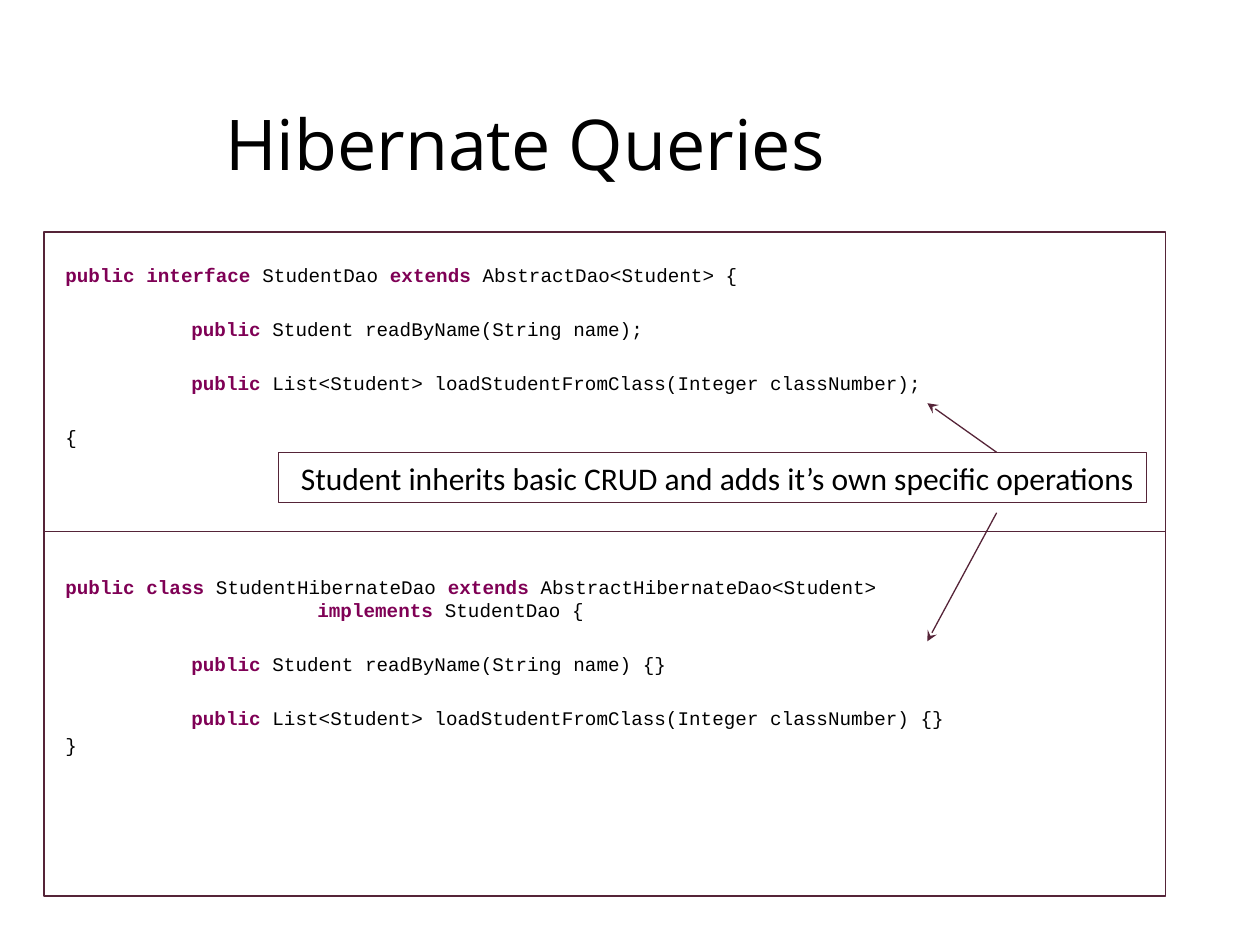
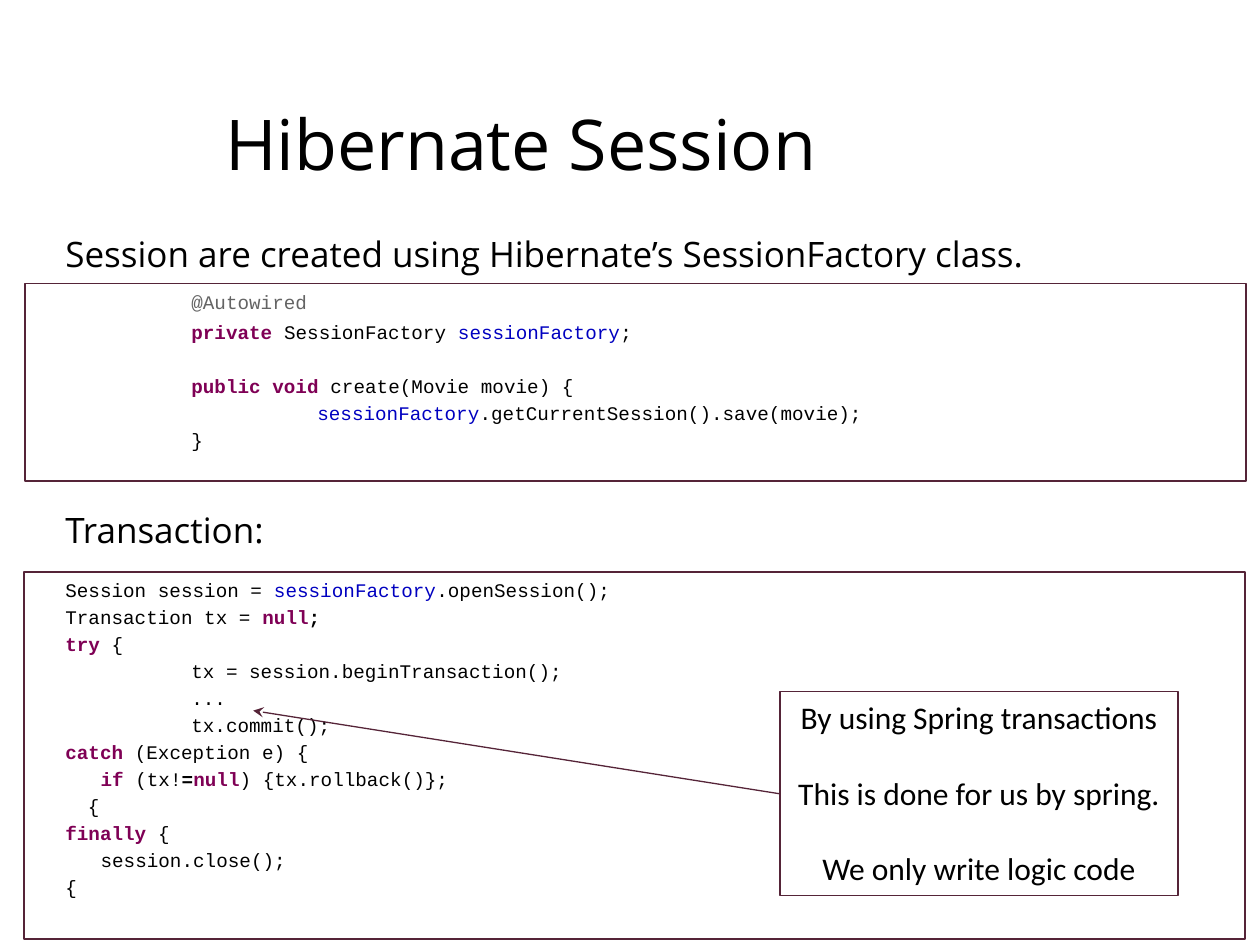
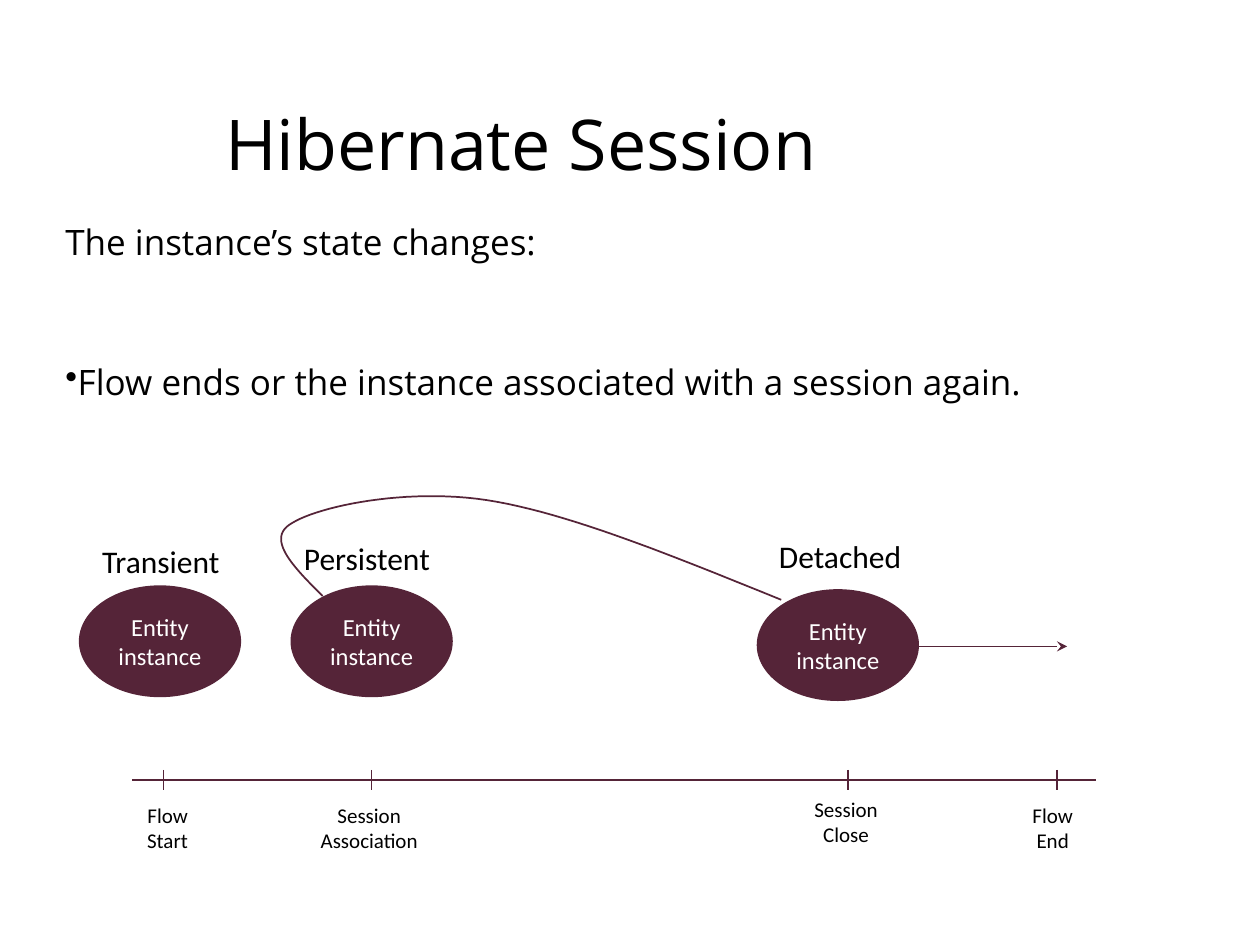
from dataclasses import dataclass
from pptx import Presentation
from pptx import util as u
from pptx.dml.color import RGBColor
from pptx.enum import shapes, text
from pptx.oxml.ns import qn
from lxml import etree

PX = u.Inches(1) // 100
COLORS = {
    "wine": "552438", "black": "000000", "white": "FFFFFF",
    "keyword": "7F0055", "field": "0000C0", "annotation": "646464",
}
RIGHT, CENTER, LEFT = text.PP_ALIGN.RIGHT, text.PP_ALIGN.CENTER, text.PP_ALIGN.LEFT


@dataclass
class RunStyle:
    font: str
    size: int
    color: str = "black"
    bold: bool = False


STYLES = {
    "title": RunStyle("Open Sans", 40),
    "heading": RunStyle("Open Sans", 20),
    "plain": RunStyle("Courier New", 11),
    "strong": RunStyle("Courier New", 11, bold=True),
    "keyword": RunStyle("Courier New", 11, "keyword", True),
    "field": RunStyle("Courier New", 11, "field"),
    "annotation": RunStyle("Courier New", 11, "annotation"),
    "callout": RunStyle("Calibri", 18),
    "entity": RunStyle("Calibri", 14, "white"),
    "tick": RunStyle("Calibri", 12),
}


@dataclass
class Line:
    runs: list
    before: float = 2.2
    indent: int = 0
    align: int = LEFT
    bullet: str = ""


def rgb(name):
    return RGBColor.from_string(COLORS[name])


def kw(words):
    return ("keyword", words)


def plain(words):
    return ("plain", words)


def field(words):
    return ("field", words)


def lines_of(style, words, align, before=0):
    return [Line([(style, part)], before if i else 0, align=align)
            for i, part in enumerate(words)]


class Deck:
    def __init__(self):
        self.presentation = Presentation()
        self.presentation.slide_width = 1000 * PX
        self.presentation.slide_height = 750 * PX
        self.slide = None

    def add_slide(self, title):
        self.slide = self.presentation.slides.add_slide(self.presentation.slide_layouts[6])
        self.text_box((169, 50, 890, 126), [Line([("title", title)], 0)],
                      anchor=text.MSO_ANCHOR.MIDDLE)

    def fill_text(self, shape, lines, anchor=text.MSO_ANCHOR.TOP):
        frame = shape.text_frame
        frame.word_wrap = True
        frame.vertical_anchor = anchor
        for i, line in enumerate(lines):
            paragraph = frame.add_paragraph() if i else frame.paragraphs[0]
            paragraph.alignment = line.align
            paragraph.space_before = u.Pt(line.before)
            properties = paragraph._p.get_or_add_pPr()
            properties.set("marL", str(line.indent * PX))
            properties.set("indent", "0")
            if line.bullet:
                etree.SubElement(properties, qn("a:buChar")).set("char", line.bullet)
            for name, words in line.runs:
                style = STYLES[name]
                run = paragraph.add_run()
                run.text = words
                run.font.name = style.font
                run.font.size = u.Pt(style.size)
                run.font.bold = style.bold
                run.font.color.rgb = rgb(style.color)

    def text_box(self, box, lines, anchor=text.MSO_ANCHOR.TOP):
        shape = self.slide.shapes.add_textbox(*(n * PX for n in box))
        self.fill_text(shape, lines, anchor)
        return shape

    def label(self, box, style, words, align):
        shape = self.text_box(box, lines_of(style, words, align))
        shape.text_frame.margin_left = 0
        shape.text_frame.margin_right = 10 * PX if align == RIGHT else 0

    def outline(self, shape, width, fill=None):
        shape.shadow.inherit = False
        shape.line.color.rgb = rgb("wine")
        shape.line.width = u.Pt(width)
        if fill:
            shape.fill.solid()
            shape.fill.fore_color.rgb = rgb(fill)
        else:
            shape.fill.background()

    def shape(self, kind, box, width, fill=None):
        shape = self.slide.shapes.add_shape(kind, *(n * PX for n in box))
        self.outline(shape, width, fill)
        return shape

    def panel(self, box):
        return self.shape(shapes.MSO_SHAPE.RECTANGLE, box, 1, "white")

    def callout(self, box, words, align, before=0):
        shape = self.shape(shapes.MSO_SHAPE.RECTANGLE, box, 0.75)
        self.fill_text(shape, lines_of("callout", words, align, before))
        return shape

    def entity(self, left, top):
        shape = self.shape(shapes.MSO_SHAPE.OVAL, (left, top, 126, 86), 2, "wine")
        self.fill_text(shape, lines_of("entity", ["Entity instance"], CENTER),
                       text.MSO_ANCHOR.MIDDLE)

    def connector(self, start, end, arrow=False):
        line = self.slide.shapes.add_connector(
            shapes.MSO_CONNECTOR.STRAIGHT, *(n * PX for n in (*start, *end)))
        line.line.color.rgb = rgb("wine")
        line.line.width = u.Pt(0.75)
        if arrow:
            etree.SubElement(line.line._get_or_add_ln(), qn("a:tailEnd")).set("type", "stealth")
        etree.SubElement(line._element.spPr, qn("a:effectLst"))
        return line

    def curve(self, start, segments, steps=24):
        points = []
        origin = start
        for first, second, end in segments:
            for step in range(1, steps + 1):
                t = step / steps
                points.append(tuple(
                    PX * ((1 - t) ** 3 * a + 3 * t * (1 - t) ** 2 * b
                          + 3 * t ** 2 * (1 - t) * c + t ** 3 * d)
                    for a, b, c, d in zip(origin, first, second, end)))
            origin = end
        builder = self.slide.shapes.build_freeform(start[0] * PX, start[1] * PX)
        builder.add_line_segments(points, close=False)
        self.outline(builder.convert_to_shape(), 1)


def queries_slide(deck):
    deck.add_slide("Hibernate Queries")
    deck.panel((35, 184, 890, 527))
    blank = 17.6
    deck.text_box((42, 204, 890, 265), [
        Line([kw("public interface "), plain("StudentDao "), kw("extends"),
              plain(" AbstractDao<Student> {")], 0),
        Line([kw("public "), plain("Student readByName(String name);")], blank, 100),
        Line([kw("public "), plain("List<Student> loadStudentFromClass(Integer classNumber);")],
             blank, 100),
        Line([plain("{")], blank),
        Line([kw("public class "), plain("StudentHibernateDao "), kw("extends "),
              plain("AbstractHibernateDao<Student>")], 72.4),
        Line([kw("implements "), plain("StudentDao {")], 0, 200),
        Line([kw("public "), plain("Student readByName(String name) {}")], blank, 100),
        Line([kw("public "), plain("List<Student> loadStudentFromClass(Integer classNumber) {}")],
             blank, 100),
        Line([plain("}")]),
    ])
    deck.connector((35, 422), (925, 422))
    deck.callout((221, 359, 689, 40),
                 ["Student inherits basic CRUD and adds it’s own specific operations"], RIGHT)
    deck.connector((791, 359), (736, 320), arrow=True)
    deck.connector((791, 407), (736, 509), arrow=True)


def transaction_slide(deck):
    deck.add_slide("Hibernate Session")
    deck.panel((19, 454, 969, 291))
    deck.panel((20, 225, 969, 157))
    deck.text_box((42, 180, 890, 250), [
        Line([("heading", "Session are created using Hibernate’s SessionFactory class.")], 0),
        Line([("annotation", "@Autowired")], 8.7, 100),
        Line([kw("private "), plain("SessionFactory "), field("sessionFactory"), plain(";")],
             4.2, 100),
        Line([kw("public void "), plain("create(Movie movie) {")], 17.6, 100),
        Line([field("sessionFactory"), plain(".getCurrentSession().save(movie);")], indent=200),
        Line([plain("}")], indent=100),
        Line([("heading", "Transaction:")], 32.6),
        Line([plain("Session session = "), field("sessionFactory"), plain(".openSession();")],
             15.6),
        Line([plain("Transaction tx = "), kw("null"), ("strong", ";")]),
        Line([kw("try "), plain("{")]),
        Line([plain("tx = session.beginTransaction();")], indent=100),
        Line([plain("...")], indent=100),
        Line([plain("tx.commit();")], indent=100),
        Line([kw("catch "), plain("(Exception e) {")]),
        Line([kw("if "), plain("(tx!"), ("strong", "="), kw("null"),
              plain(") {tx.rollback()};")], indent=28),
        Line([plain("{")], indent=18),
        Line([kw("finally "), plain("{")]),
        Line([plain("session.close();")], indent=28),
        Line([plain("{")]),
    ])
    note = deck.callout((619, 549, 316, 162),
                        ["By using Spring transactions", "This is done for us by spring.",
                         "We only write logic code"], CENTER, 21.6)
    arrow = deck.connector((619, 630), (201, 564), arrow=True)
    arrow.begin_connect(note, 1)


def states_slide(deck):
    deck.add_slide("Hibernate Session")
    deck.text_box((42, 170, 890, 244), [
        Line([("heading", "The instance’s state changes:")], 0),
        Line([("heading", "Flow ends or the instance associated with a session again.")],
             56, bullet="•"),
    ])
    deck.connector((105, 619), (870, 619))
    for tick, box, words, align in (
        (130, (106, 632, 53, 51), ["Flow", "Start"], RIGHT),
        (295, (244, 632, 98, 51), ["Session", "Association"], CENTER),
        (673, (636, 627, 71, 51), ["Session", "Close"], CENTER),
        (839, (809, 632, 53, 51), ["Flow", "End"], CENTER),
    ):
        deck.connector((tick, 611), (tick, 627))
        deck.label(box, "tick", words, align)
    for left, top, box, state in (
        (64, 466, (53, 425, 131, 40), "Transient"),
        (232, 466, (220, 423, 131, 40), "Persistent"),
        (602, 469, (607, 421, 118, 40), "Detached"),
    ):
        deck.entity(left, top)
        deck.label(box, "callout", [state], RIGHT)
    deck.connector((728, 513), (847, 513), arrow=True)
    deck.curve((620, 476), [
        ((536, 442), (451, 407), (387, 397)),
        ((322, 387), (253, 402), (232, 415)),
        ((210, 427), (233, 450), (256, 473)),
    ])


def main():
    deck = Deck()
    queries_slide(deck)
    transaction_slide(deck)
    states_slide(deck)
    deck.presentation.save("out.pptx")


if __name__ == "__main__":
    main()
